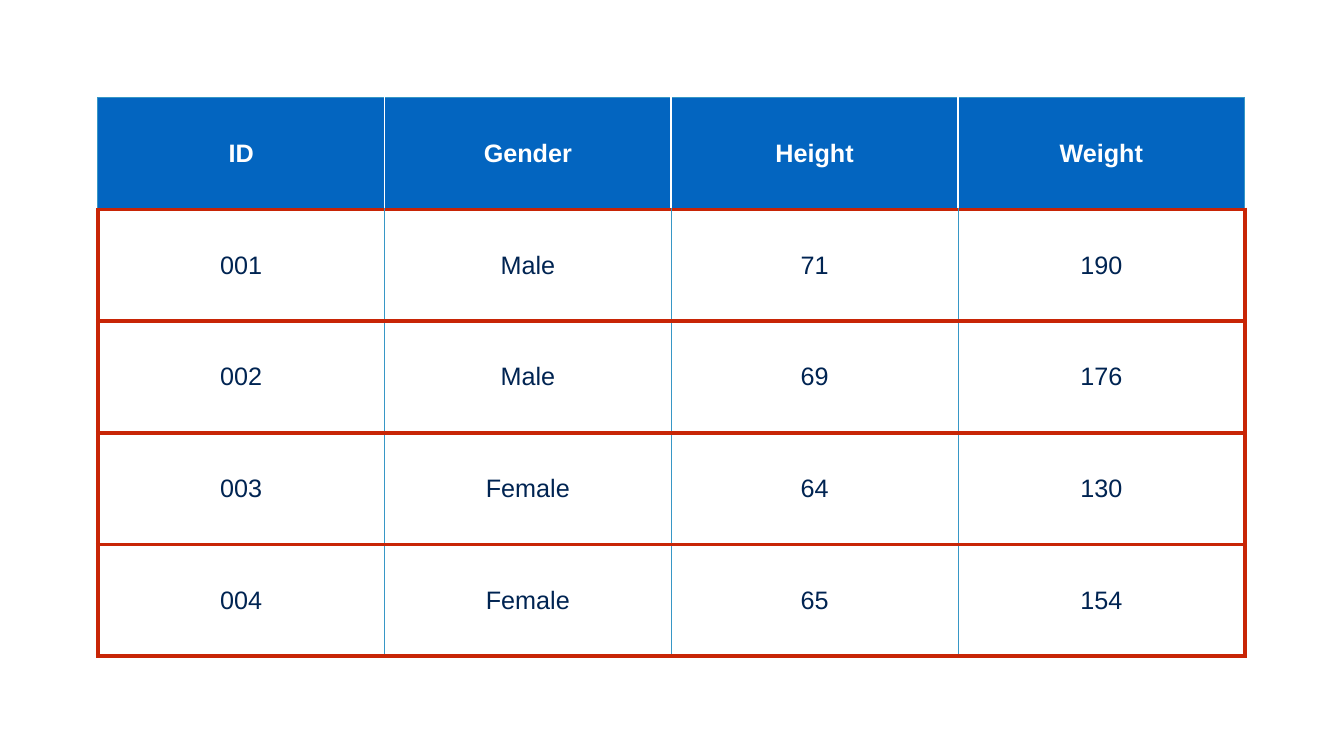
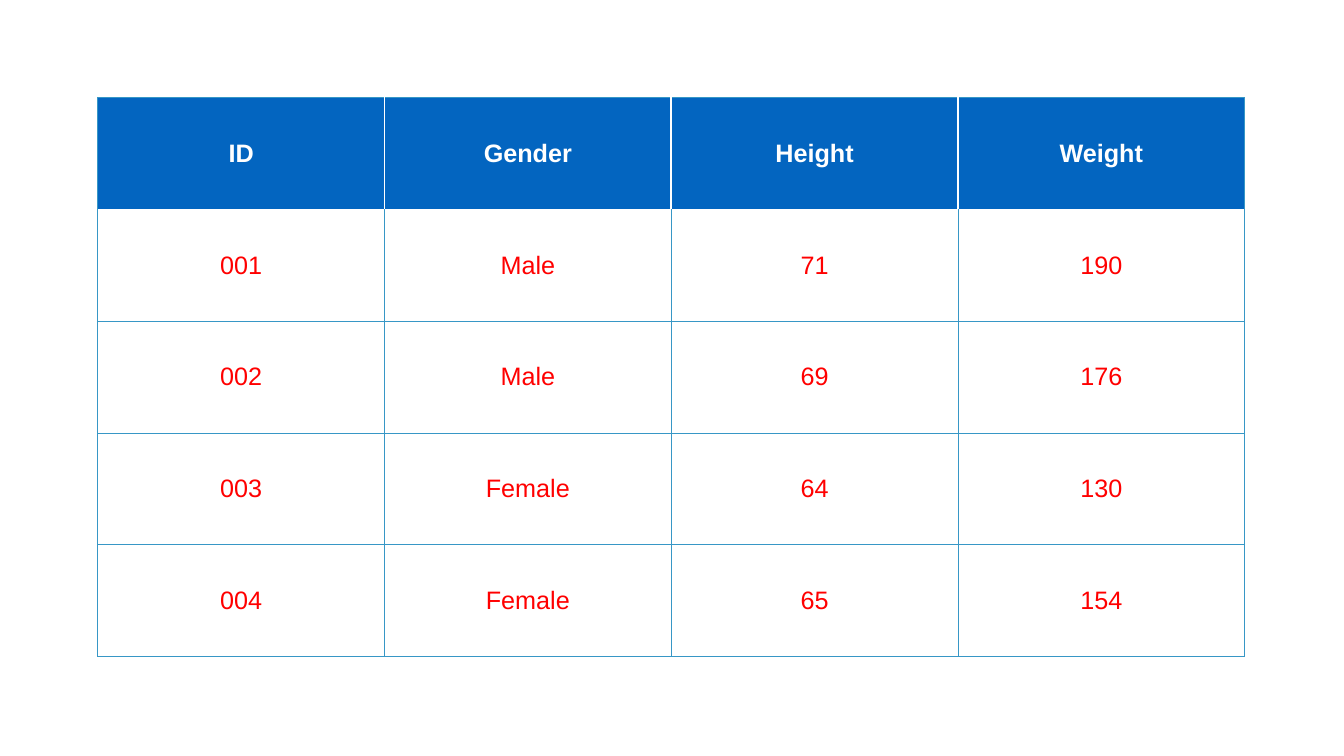
"""Build two slides showing one data table: rows outlined, then values highlighted."""
from lxml import etree
from pptx import Presentation
from pptx.dml.color import RGBColor
from pptx.enum.text import MSO_ANCHOR, PP_ALIGN
from pptx.oxml.ns import qn
from pptx.util import Inches, Pt

HEADER = ["ID", "Gender", "Height", "Weight"]
RECORDS = [
    ["001", "Male", "71", "190"],
    ["002", "Male", "69", "176"],
    ["003", "Female", "64", "130"],
    ["004", "Female", "65", "154"],
]
ROWS = [HEADER] + RECORDS

WHITE, BLUE, NAVY = "FFFFFF", "0365C0", "002452"
RED, OUTLINE_RED, GRID_BLUE = "FF0000", "C82506", "3797C6"
THIN, EDGE = (GRID_BLUE, 1), (GRID_BLUE, 2)
HEADER_DIVIDER, ROW_OUTLINE = (WHITE, 3), (OUTLINE_RED, 6)

SLIDES = [
    {"text": NAVY, "side": ROW_OUTLINE, "under_header": ROW_OUTLINE,
     "between": ROW_OUTLINE, "bottom": ROW_OUTLINE},
    {"text": RED, "side": EDGE, "under_header": None,
     "between": THIN, "bottom": EDGE},
]

LEFT = TOP = 1.94
WIDTH, HEIGHT = 22.76, 11.08
MARGIN = 0.06


def color(value):
    return RGBColor.from_string(value)


def horizontal_line(edge, look):
    if edge == 0:
        return EDGE
    if edge == 1:
        return look["under_header"]
    return look["bottom"] if edge == len(ROWS) else look["between"]


def vertical_line(edge, row, look):
    outer = edge in (0, len(HEADER))
    if row == 0:
        return EDGE if outer else HEADER_DIVIDER
    return look["side"] if outer else THIN


def set_borders(cell, row, column, look):
    lines = {
        "a:lnL": vertical_line(column, row, look),
        "a:lnR": vertical_line(column + 1, row, look),
        "a:lnT": horizontal_line(row, look),
        "a:lnB": horizontal_line(row + 1, look),
    }
    properties = cell._tc.get_or_add_tcPr()
    for position, (tag, line) in enumerate(lines.items()):
        border = etree.Element(qn(tag))
        properties.insert(position, border)
        if line is None:
            etree.SubElement(border, qn("a:noFill"))
            continue
        line_color, points = line
        border.set("w", str(Pt(points)))
        fill = etree.SubElement(border, qn("a:solidFill"))
        etree.SubElement(fill, qn("a:srgbClr"), val=line_color)


def fill_cell(cell, text, is_header, text_color):
    cell.fill.solid()
    cell.fill.fore_color.rgb = color(BLUE if is_header else WHITE)
    cell.vertical_anchor = MSO_ANCHOR.MIDDLE
    cell.margin_left = cell.margin_right = Inches(MARGIN)
    cell.margin_top = cell.margin_bottom = Inches(MARGIN)
    cell.text_frame.text = text
    paragraph = cell.text_frame.paragraphs[0]
    paragraph.alignment = PP_ALIGN.CENTER
    font = paragraph.runs[0].font
    font.name, font.size, font.bold = "Arial", Pt(36), is_header
    font.color.rgb = color(WHITE if is_header else text_color)


def add_data_table(slide, look):
    table = slide.shapes.add_table(
        len(ROWS), len(HEADER),
        Inches(LEFT), Inches(TOP), Inches(WIDTH), Inches(HEIGHT),
    ).table
    table.first_row = table.horz_banding = False
    for row, texts in enumerate(ROWS):
        for column, text in enumerate(texts):
            cell = table.cell(row, column)
            fill_cell(cell, text, row == 0, look["text"])
            set_borders(cell, row, column, look)


def main():
    presentation = Presentation()
    presentation.slide_width = Inches(26.67)
    presentation.slide_height = Inches(15)
    for look in SLIDES:
        slide = presentation.slides.add_slide(presentation.slide_layouts[6])
        slide.background.fill.solid()
        slide.background.fill.fore_color.rgb = color(WHITE)
        add_data_table(slide, look)
    presentation.save("out.pptx")


if __name__ == "__main__":
    main()
